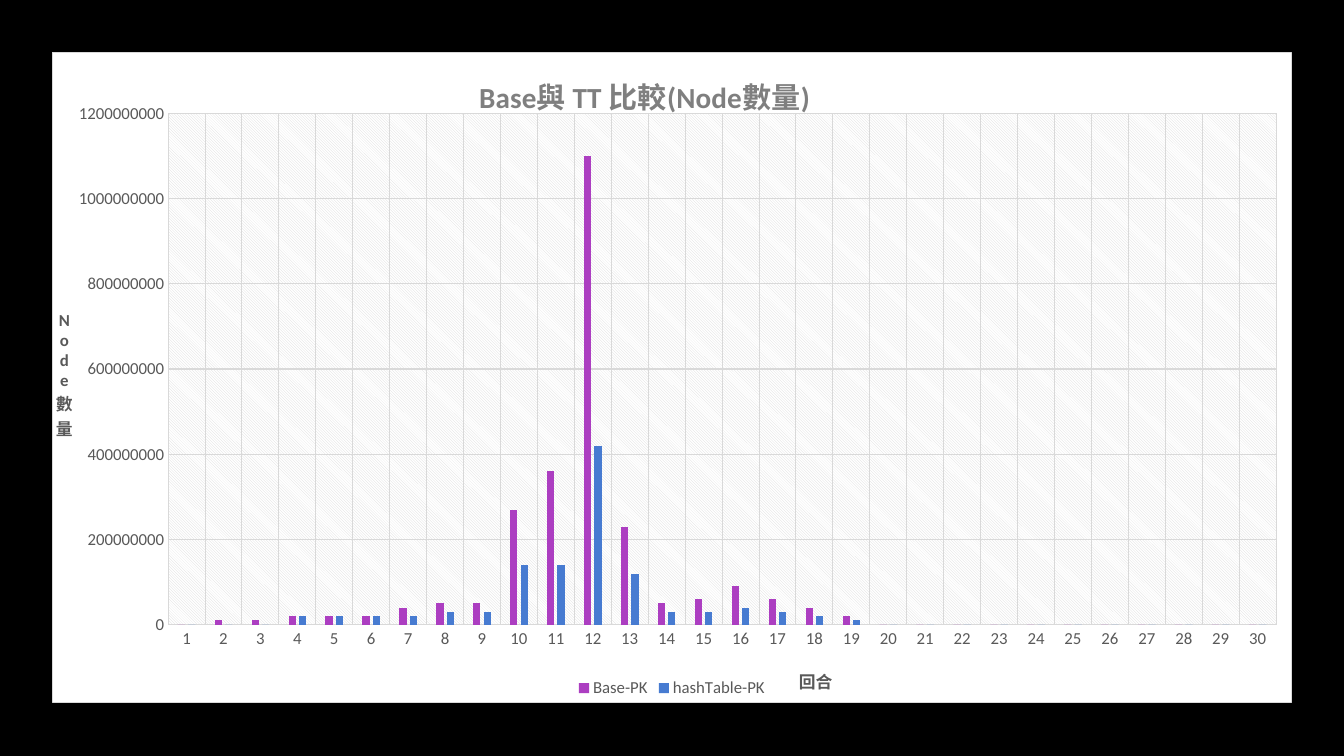
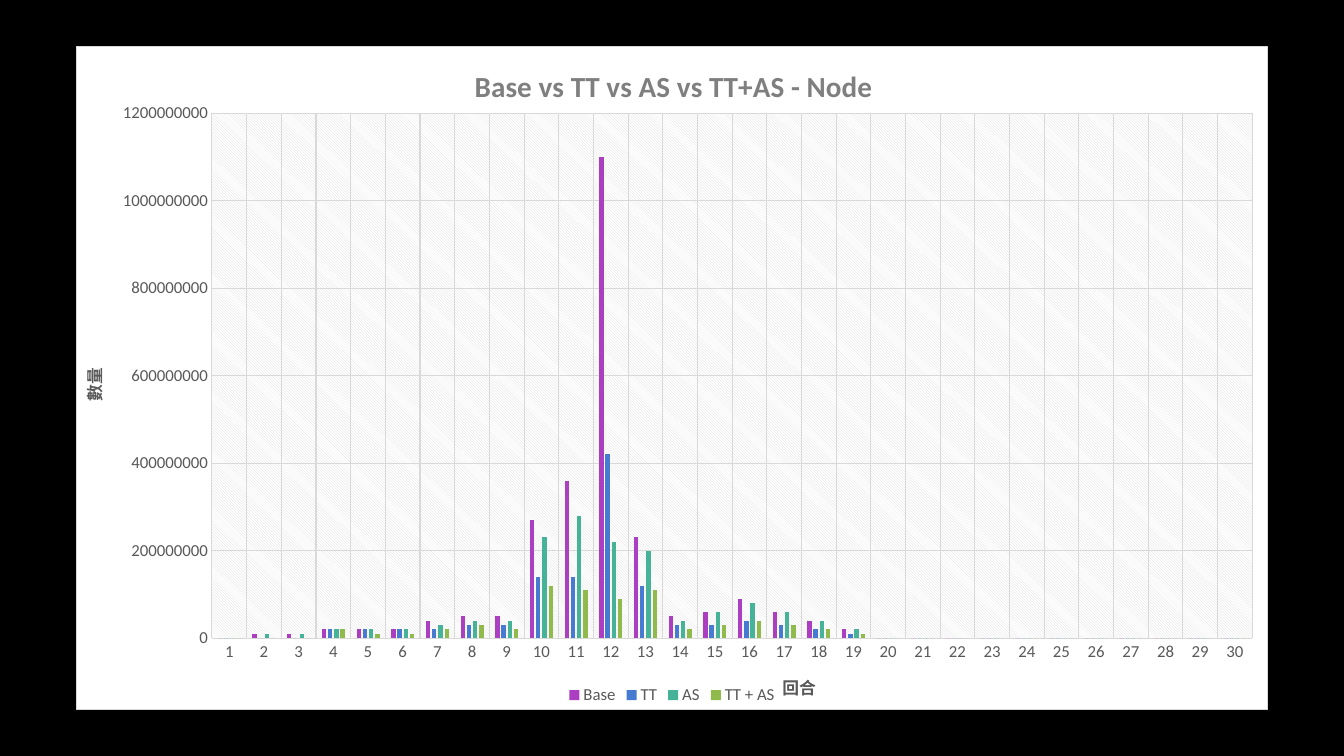
import pptx
import pptx.chart.data
import pptx.dml.color
import pptx.enum.chart
import pptx.oxml
import pptx.util

Inches = pptx.util.Inches
Pt = pptx.util.Pt
FONT = "Calibri"
BLACK, WHITE, GRID, TEXT, HEAD = "000000", "FFFFFF", "D9D9D9", "595959", "7F7F7F"
HUES = ["AC3EC1", "477BD1", "46B298", "90BA4C"]
ROUNDS = 30
UNIT = 10_000_000
BASE = [0, 1, 1, 2, 2, 2, 4, 5, 5, 27, 36, 110, 23, 5, 6, 9, 6, 4, 2]
TABLE = [0, 0, 0, 2, 2, 2, 2, 3, 3, 14, 14, 42, 12, 3, 3, 4, 3, 2, 1]
SEARCH = [0, 1, 1, 2, 2, 2, 3, 4, 4, 23, 28, 22, 20, 4, 6, 8, 6, 4, 2]
BOTH = [0, 0, 0, 2, 1, 1, 2, 3, 2, 12, 11, 9, 11, 2, 3, 4, 3, 2, 1]
SPACE = ('xmlns:c="http://schemas.openxmlformats.org/drawingml/2006/chart" '
         'xmlns:a="http://schemas.openxmlformats.org/drawingml/2006/main"')


def color(code):
    """Turn a hex string into a colour."""
    return pptx.dml.color.RGBColor.from_string(code)


def node(tag, inner):
    """Build a chart XML element."""
    return pptx.oxml.parse_xml(f"<c:{tag} {SPACE}>{inner}</c:{tag}>")


def style(font, size, hue, bold=False):
    """Set face, size, colour and weight of a font."""
    font.name, font.size, font.bold = FONT, Pt(size), bold
    font.color.rgb = color(hue)


def rule(line):
    """Give a line the thin grey look."""
    line.width = Pt(0.75)
    line.color.rgb = color(GRID)


def layout(part, spot, inner=False):
    """Place a chart part by fractions of the chart."""
    for old in part.findall(pptx.oxml.ns.qn("c:layout")):
        part.remove(old)
    body = '<c:layoutTarget val="inner"/>' if inner else ""
    body += '<c:xMode val="edge"/><c:yMode val="edge"/>'
    body += "".join(f'<c:{key} val="{val}"/>' for key, val in zip("xywh", spot))
    part.insert(0 if inner else 1, node("layout", f"<c:manualLayout>{body}</c:manualLayout>"))


def label(title, text, size, hue, spot, turn=None):
    """Write and place a chart or axis title."""
    frame = title.text_frame
    run = frame.paragraphs[0].add_run()
    run.text = text
    style(run.font, size, hue, True)
    if turn:
        body = frame._txBody.bodyPr
        body.set("rot", turn[0])
        body.set("vert", turn[1])
    layout(title._element, spot)


def paint(chart, area):
    """Fill the chart and plot backgrounds and place the plot."""
    fill = f'<a:solidFill><a:srgbClr val="{WHITE}"/></a:solidFill>'
    edge = f'<a:ln w="9525"><a:solidFill><a:srgbClr val="{GRID}"/></a:solidFill></a:ln>'
    hatch = (f'<a:pattFill prst="ltDnDiag"><a:fgClr><a:srgbClr val="{GRID}"/></a:fgClr>'
             f'<a:bgClr><a:srgbClr val="{WHITE}"/></a:bgClr></a:pattFill>')
    root = chart._chartSpace.chart
    root.addnext(node("spPr", fill + edge))
    root.plotArea.append(node("spPr", hatch + "<a:ln><a:noFill/></a:ln>"))
    layout(root.plotArea, area, True)


def axes(chart):
    """Style both axes and their grids."""
    for axis in (chart.category_axis, chart.value_axis):
        axis.has_major_gridlines = True
        rule(axis.major_gridlines.format.line)
        axis.major_tick_mark = pptx.enum.chart.XL_TICK_MARK.NONE
        axis.minor_tick_mark = pptx.enum.chart.XL_TICK_MARK.NONE
        style(axis.tick_labels.font, 12, TEXT)
    rule(chart.category_axis.format.line)
    scale = chart.value_axis
    scale.format.line.fill.background()
    scale.minimum_scale, scale.maximum_scale, scale.major_unit = 0, 120 * UNIT, 20 * UNIT


def graph(slide, box, area, series, head, side, foot):
    """Draw a column chart with its titles inside a box."""
    data = pptx.chart.data.CategoryChartData()
    data.categories = [str(turn + 1) for turn in range(ROUNDS)]
    for name, vals in series:
        data.add_series(name, [val * UNIT for val in vals] + [0] * (ROUNDS - len(vals)))
    kind = pptx.enum.chart.XL_CHART_TYPE.COLUMN_CLUSTERED
    chart = slide.shapes.add_chart(kind, *[Inches(size) for size in box], data).chart
    style(chart.font, 10, TEXT)
    plot = chart.plots[0]
    plot.vary_by_categories = False
    plot.gap_width, plot.overlap = 267, -43
    for bar, hue in zip(plot.series, HUES):
        bar.format.fill.solid()
        bar.format.fill.fore_color.rgb = color(hue)
    axes(chart)
    chart.has_legend = True
    chart.legend.position = pptx.enum.chart.XL_LEGEND_POSITION.BOTTOM
    chart.legend.include_in_layout = False
    style(chart.legend.font, 12, TEXT)
    label(chart.chart_title, head[0], 20.8, HEAD, head[1])
    label(chart.value_axis.axis_title, side[0], 12, TEXT, side[1], side[2])
    label(chart.category_axis.axis_title, "回合", 12, TEXT, foot)
    paint(chart, area)


def main():
    """Build and save the two slides."""
    deck = pptx.Presentation()
    deck.slide_width, deck.slide_height = Inches(13.33), Inches(7.5)
    back = deck.slide_master.background.fill
    back.solid()
    back.fore_color.rgb = color(BLACK)
    blank = deck.slide_layouts[6]
    graph(deck.slides.add_slide(blank), (0.52, 0.52, 12.29, 6.45), (0.093, 0.093, 0.895, 0.788),
          [("Base-PK", BASE), ("hashTable-PK", TABLE)],
          ("Base與 TT 比較(Node數量)", (0.34, 0.02)),
          ("Node數量", (0, 0.39), ("0", "wordArtVert")), (0.6, 0.94))
    graph(deck.slides.add_slide(blank), (0.75, 0.46, 11.83, 6.58), (0.114, 0.1, 0.873, 0.793),
          [("Base", BASE), ("TT", TABLE), ("AS", SEARCH), ("TT + AS", BOTH)],
          ("Base vs TT vs AS vs TT+AS - Node", (0.33, 0.02)),
          ("數量", (0, 0.48), ("-5400000", "horz")), (0.59, 0.94))
    deck.save("out.pptx")


if __name__ == "__main__":
    main()
